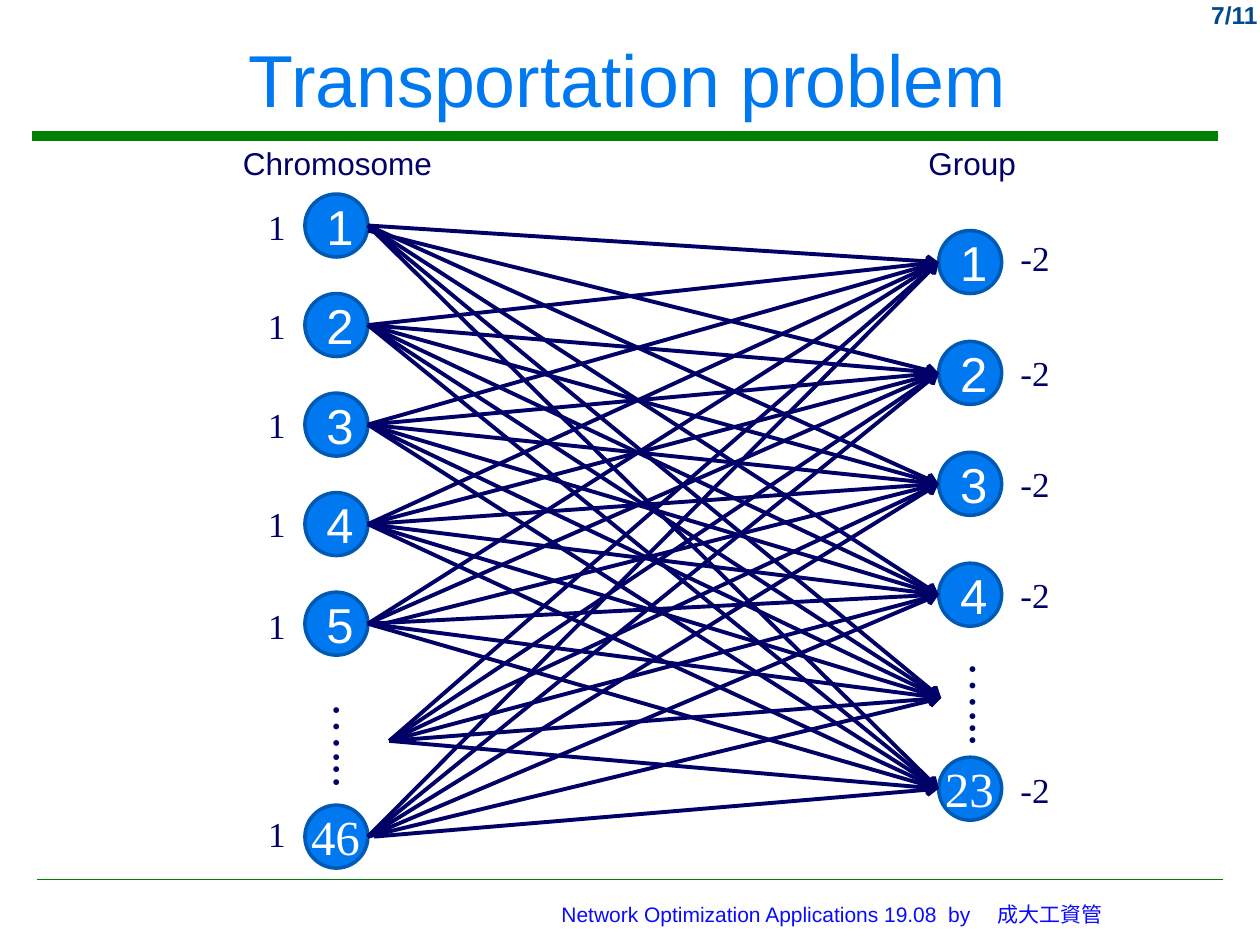
from lxml import etree
from pptx import Presentation
from pptx import util as u
from pptx.dml import color as c
from pptx.enum import shapes, text
from pptx.oxml import ns

COLORS = {
    "title": "0078F0",
    "node": "0078F0",
    "node_edge": "0059B2",
    "ink": "000066",
    "rule": "008000",
    "page": "004992",
    "footer": "0A0AFF",
    "light": "FFFFFF",
}


class SlideBuilder:
    styles = {
        "title": ({"name": "Arial", "size": u.Pt(42)}, "title"),
        "page": ({"name": "Arial", "size": u.Pt(14), "bold": True}, "page"),
        "footer": ({"name": "Arial", "size": u.Pt(12)}, "footer"),
        "heading": ({"name": "Arial", "size": u.Pt(18)}, "ink"),
        "node": ({"name": "Arial", "size": u.Pt(28)}, "light"),
        "last_node": ({"name": "Times New Roman", "size": u.Pt(28)}, "light"),
        "dots": ({"name": "Times New Roman", "size": u.Pt(28)}, "ink"),
        "supply": ({"name": "Times New Roman", "size": u.Pt(20)}, "ink"),
    }

    def __init__(self, page):
        self.page = page

    def color(self, name):
        return c.RGBColor.from_string(COLORS[name])

    def put_text(self, box, words, style, align=None):
        para = box.text_frame.paragraphs[0]
        para.alignment = align
        span = para.add_run()
        span.text = words
        values, ink = self.styles[style]
        for name, value in values.items():
            setattr(span.font, name, value)
        span.font.color.rgb = self.color(ink)

    def title(self, words, *place):
        box = self.page.shapes.title
        box.left, box.top, box.width, box.height = map(u.Inches, place)
        values = {
            "auto_size": text.MSO_AUTO_SIZE.NONE,
            "vertical_anchor": text.MSO_ANCHOR.MIDDLE,
        }
        for name, value in values.items():
            setattr(box.text_frame, name, value)
        self.put_text(box, words, "title", text.PP_ALIGN.CENTER)

    def label(self, words, style, *place, align=None, wrap=False, vertical=False):
        box = self.page.shapes.add_textbox(*map(u.Inches, place))
        values = {
            "word_wrap": wrap,
            "auto_size": text.MSO_AUTO_SIZE.SHAPE_TO_FIT_TEXT,
        }
        for name, value in values.items():
            setattr(box.text_frame, name, value)
        if vertical:
            box.element.txBody.bodyPr.set("vert", "eaVert")
        self.put_text(box, words, style, align)

    def node(self, left, top, words=None):
        size = u.Inches(0.5)
        circle = self.page.shapes.add_shape(
            shapes.MSO_SHAPE.OVAL, u.Inches(left), u.Inches(top), size, size
        )
        circle.shadow.inherit = False
        circle.fill.solid()
        circle.fill.fore_color.rgb = self.color("node")
        circle.line.color.rgb = self.color("node_edge")
        circle.line.width = u.Pt(2)
        if words:
            self.put_text(circle, words, "node", text.PP_ALIGN.CENTER)

    def line(self, start, end, ink, width, arrow=False):
        link = self.page.shapes.add_connector(
            shapes.MSO_CONNECTOR.STRAIGHT, *map(u.Inches, (*start, *end))
        )
        link.line.color.rgb = self.color(ink)
        link.line.width = u.Pt(width)
        outline = link.element.spPr.find(ns.qn("a:ln"))
        if arrow:
            tail = etree.SubElement(outline, ns.qn("a:tailEnd"))
            tail.set("type", "arrow")
        etree.SubElement(link.element.spPr, ns.qn("a:effectLst"))


def main():
    deck = Presentation()
    deck.slide_width, deck.slide_height = u.Inches(10), u.Inches(7.5)
    page = deck.slides.add_slide(deck.slide_layouts[5])
    build = SlideBuilder(page)

    build.line((0.25, 1.08), (9.67, 1.08), "rule", 5.25)
    build.line((0.29, 6.98), (9.71, 6.98), "rule", 1)
    build.label("7/11", "page", 9.17, -0.05, 0.91, 0.33,
                align=text.PP_ALIGN.RIGHT, wrap=True)
    build.title("Transportation problem", 0.08, 0.09, 9.8, 1.06)
    build.label("Network Optimization Applications 19.08  by 　成大工資管", "footer",
                3.41, 7.11, 6.39, 0.3, align=text.PP_ALIGN.CENTER, wrap=True)

    columns = [
        {"heading": ("Chromosome", 1.83, 1.72), "left": 2.42,
         "tops": [1.54 + 0.79 * i for i in range(5)], "last": ("46", 6.39),
         "dots": (2.42, 5.48), "value": ("1", 2.03, 0.34),
         "value_tops": (1.58, 2.37, 3.15, 3.94, 4.75, 6.4)},
        {"heading": ("Group", 7.27, 0.9), "left": 7.45,
         "tops": [1.83 + 0.88 * i for i in range(4)], "last": ("23", 6.01),
         "dots": (7.47, 5.15), "value": ("-2", 8, 0.44),
         "value_tops": (1.83, 2.74, 3.62, 4.5, 6.05)},
    ]
    for column in columns:
        left = column["left"]
        for number, top in enumerate(column["tops"], 1):
            build.node(left, top, str(number))
        words, top = column["last"]
        build.node(left, top)
        build.label(words, "last_node", left - 0.05, top - 0.04, 0.59, 0.57)
        build.label("…...", "dots", *column["dots"], 0.67, 0.79, vertical=True)
        words, left, width = column["heading"]
        build.label(words, "heading", left, 1.09, width, 0.4)

    chromosomes, groups = columns
    starts = [(2.92, top + 0.25) for top in chromosomes["tops"]]
    starts += [(3.09, 5.88), (2.92, 6.64)]
    ends = [(7.45, top + 0.25) for top in groups["tops"]]
    ends += [(7.47, 5.54), (7.45, 6.26)]
    shifted_starts = {
        (0, 1): (2.92, 1.83),
        (0, 4): (2.97, 1.83),
        (4, 2): (2.97, 4.97),
        (6, 5): (2.97, 6.64),
    }
    for row, start in enumerate(starts):
        for target, end in enumerate(ends):
            build.line(shifted_starts.get((row, target), start), end,
                       "ink", 2.25, arrow=True)

    for column in columns:
        words, left, width = column["value"]
        for top in column["value_tops"]:
            build.label(words, "supply", left, top, width, 0.44)

    deck.save("out.pptx")


if __name__ == "__main__":
    main()
